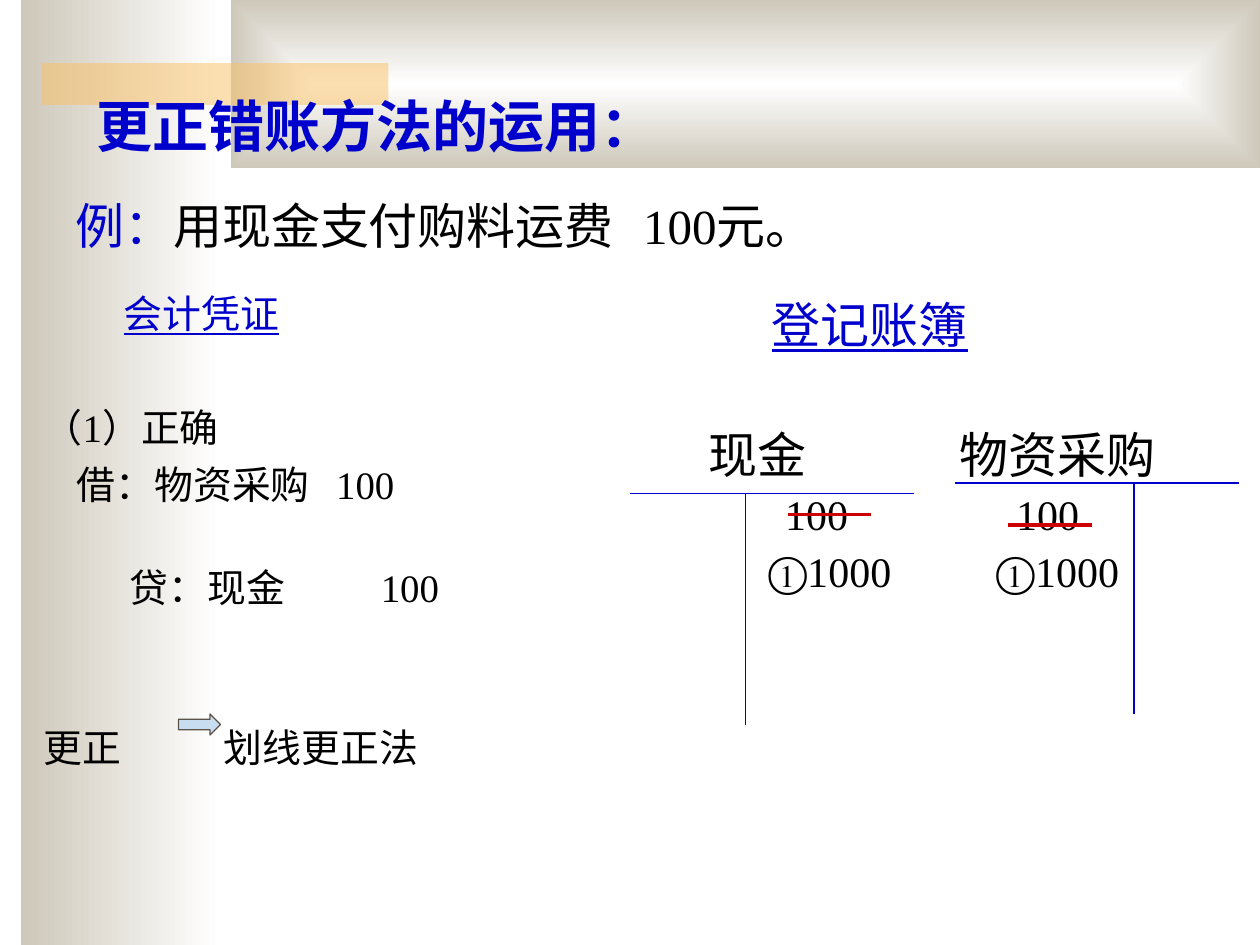
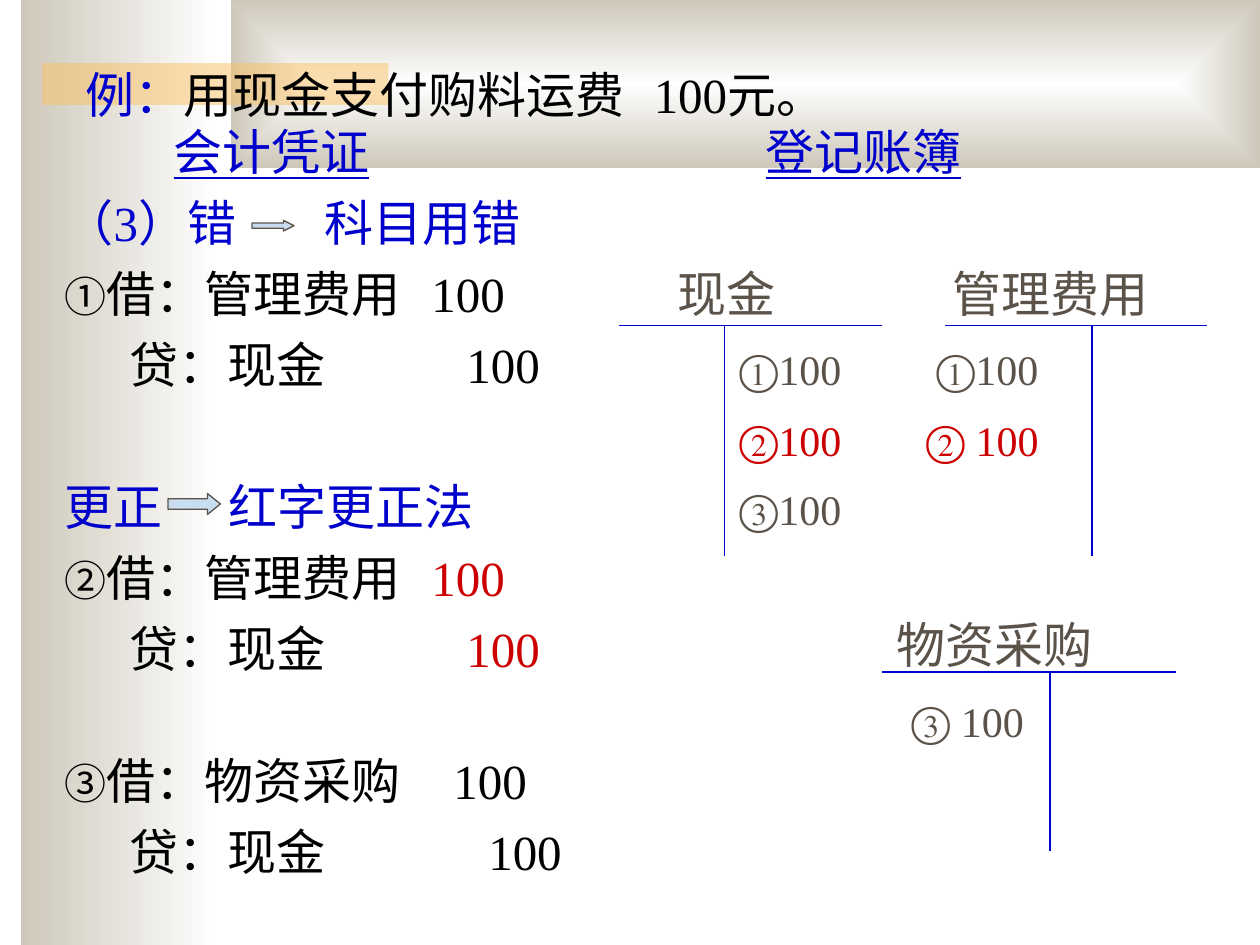
import dataclasses

import pptx
import pptx.dml.color
import pptx.enum.dml
import pptx.enum.shapes
import pptx.enum.text
import pptx.oxml
import pptx.oxml.ns
import pptx.util

Pt = pptx.util.Pt
RGB = pptx.dml.color.RGBColor.from_string
qn = pptx.oxml.ns.qn
NAMESPACE = pptx.oxml.ns.nsdecls("a")
SHAPE = pptx.enum.shapes.MSO_SHAPE


@dataclasses.dataclass(frozen=True)
class Theme:
    font: str = "Times New Roman"
    black: str = "000000"
    white: str = "FFFFFF"
    blue: str = "0000CC"
    red: str = "CC0000"
    grey: str = "5B5249"
    sand: str = "CEC8BA"
    amber: str = "FAC164"
    sky: str = "C9DDF1"
    title: float = 32
    large: float = 28
    medium: float = 24
    small: float = 22.2
    thin: float = 0.75
    thick: float = 2.25


theme = Theme()


def add_frame(page, left, top, width, height):
    frame = page.shapes.add_textbox(Pt(left), Pt(top), Pt(width), Pt(height)).text_frame
    frame.word_wrap = True
    frame.vertical_anchor = pptx.enum.text.MSO_ANCHOR.TOP
    return frame


def write(frame, *spans, size=theme.large, color=theme.black, bold=False,
          underline=False, before=0, tabs=(), line=None):
    """Add one paragraph; a span is a text or a (text, font changes) pair."""
    para = frame.paragraphs[0]
    if para.runs:
        para = frame.add_paragraph()
    para.space_before = Pt(before)
    para.line_spacing = Pt(line or round(size * 1.2, 1))
    if tabs:
        stops = "".join(f'<a:tab pos="{Pt(stop)}" algn="l"/>' for stop in tabs)
        para._p.get_or_add_pPr().append(
            pptx.oxml.parse_xml(f"<a:tabLst {NAMESPACE}>{stops}</a:tabLst>"))
    for span in spans:
        text, changes = (span, {}) if isinstance(span, str) else span
        look = {"size": size, "color": color, "underline": underline, **changes}
        run = para.add_run()
        run.text = text
        run.font.name = theme.font
        run.font.size = Pt(look["size"])
        run.font.bold = bold
        run.font.underline = look["underline"]
        run.font.color.rgb = RGB(look["color"])


deck = pptx.Presentation()
deck.slide_width, deck.slide_height = Pt(720), Pt(540)
strike_page, red_page = [deck.slides.add_slide(deck.slide_layouts[6]) for _ in range(2)]

# Background bands
for page in (strike_page, red_page):
    side, top, accent = bands = [
        page.shapes.add_shape(SHAPE.RECTANGLE, *map(Pt, area))
        for area in ((12, 0, 114, 540), (132, 0, 588, 96), (24, 36, 198, 24))]
    for band in bands:
        band.shadow.inherit = False
        band.line.fill.background()
    for band in (side, top):
        band.fill.gradient()
        band.fill.gradient_angle = 180
        for stop, color in zip(band.fill.gradient_stops, (theme.white, theme.sand)):
            stop.color.rgb = RGB(color)
    linear = top._element.spPr.find(qn("a:gradFill")).find(qn("a:lin"))
    linear.getparent().replace(linear, pptx.oxml.parse_xml(
        f'<a:path {NAMESPACE} path="rect">'
        '<a:fillToRect l="50000" t="50000" r="50000" b="50000"/></a:path>'))
    accent.fill.solid()
    accent.fill.fore_color.rgb = RGB(theme.amber)
    accent._element.spPr.find(qn("a:solidFill"))[0].append(
        pptx.oxml.parse_xml(f'<a:alpha {NAMESPACE} val="50000"/>'))

# Titles and the shared example
write(add_frame(strike_page, 48, 49, 612, 46), "更正错账方法的运用：",
      size=theme.title, color=theme.blue, bold=True)
for page, left, top in ((strike_page, 36, 108), (red_page, 42, 33.5)):
    write(add_frame(page, left, top, 546, 41), ("例：", {"color": theme.blue}),
          "用现金支付购料运费\t100元。", tabs=[324.5])

heading = {"color": theme.blue, "underline": True}
red = {"color": theme.red}
circled = {"size": theme.medium}

# Strike-through correction: voucher
voucher = add_frame(strike_page, 18, 162, 312, 342)
write(voucher, "\t", ("会计凭证", heading), size=theme.small, tabs=[45.6])
for text, before, tabs in (
        ("（1）正确", 38.6, []),
        ("\t借：物资采购\t100", 6, [18.8, 167]),
        ("\t贷：现金\t100", 32.4, [49, 192.5]),
        ("更正\t划线更正法", 64.8, [102.8])):
    write(voucher, text, size=theme.small, before=before, tabs=tabs)

# Strike-through correction: ledger
ledger = add_frame(strike_page, 348, 168, 360, 336)
write(ledger, "\t", ("登记账簿", heading), tabs=[86], line=30.2)
write(ledger, "\t现金\t物资采购", before=44.2, tabs=[50, 193.3], line=30.2)
for text, before, tabs in (
        ("\t100\t100", 6, [93.6, 225.6]),
        ("\t①1000\t①1000", 6.7, [83.8, 214])):
    write(ledger, text, size=theme.medium, before=before, tabs=tabs, line=25.9)

# Red-ink correction: voucher
voucher = add_frame(red_page, 30, 66, 324, 456)
write(voucher, "\t", ("会计凭证", heading), tabs=[62.2])
write(voucher, "（3）错\t科目用错", color=theme.blue, before=7, tabs=[148.4])
for number, account, debit_tab, credit_tab, before, amount in (
        ("①", "管理费用", 209.5, 229.5, 7, {}),
        ("②", "管理费用", 209.5, 229.5, 7, red),
        ("③", "物资采购", 222, 242, 41.8, {})):
    if number == "②":
        write(voucher, "更正\t红字更正法", color=theme.blue, before=47.6, tabs=[93.5])
    write(voucher, (number, circled), f"借：{account}\t", ("100", amount),
          before=before, tabs=[debit_tab])
    write(voucher, "\t贷：现金\t", ("100", amount), before=7, tabs=[37.2, credit_tab])

# Red-ink correction: ledger
ledger = add_frame(red_page, 318, 66, 378, 450)
write(ledger, "\t", ("登记账簿", heading), tabs=[112.5])
for text, size, color, before, tabs in (
        ("\t现金\t管理费用", theme.large, theme.grey, 47.6, [62, 219.5]),
        ("\t①100\t①100", theme.medium, theme.grey, 7, [97.3, 209.8]),
        ("\t②100\t② 100", theme.medium, theme.red, 7, [97.3, 204]),
        ("\t③100", theme.medium, theme.grey, 5.8, [97.3]),
        ("\t物资采购", theme.large, theme.grey, 46.4, [187.4]),
        ("\t③ 100", theme.medium, theme.grey, 8, [195.5])):
    write(ledger, text, size=size, color=color, before=before, tabs=tabs, line=33.6)

# T-accounts and strike lines
rules = []
for page, left, right, bar, stem, bottom in (
        (strike_page, 360, 522, 282, 426, 414),
        (strike_page, 546, 708, 276, 648, 408),
        (red_page, 354, 504, 186, 414, 318),
        (red_page, 540, 690, 186, 624, 318),
        (red_page, 504, 672, 384, 600, 486)):
    rules.append((page, (left, bar, right, bar), theme.blue, theme.thin))
    rules.append((page, (stem, bar, stem, bottom), theme.blue, theme.thin))
for left, level in ((450, 294), (576, 300)):
    rules.append((strike_page, (left, level, left + 48, level), theme.red, theme.thick))
for page, ends, color, width in rules:
    rule = page.shapes.add_connector(
        pptx.enum.shapes.MSO_CONNECTOR.STRAIGHT, *map(Pt, ends))
    rule.line.color.rgb = RGB(color)
    rule.line.width = Pt(width)
    rule._element.spPr.append(pptx.oxml.parse_xml(f"<a:effectLst {NAMESPACE}/>"))

# Arrows
for page, area, head in (
        (strike_page, (102, 408, 24, 12), 0.5),
        (red_page, (144, 126, 24, 6), 1),
        (red_page, (96, 282, 30, 12), 0.62)):
    arrow = page.shapes.add_shape(SHAPE.RIGHT_ARROW, *map(Pt, area))
    arrow.shadow.inherit = False
    arrow.adjustments[1] = head
    arrow.fill.solid()
    arrow.fill.fore_color.rgb = RGB(theme.sky)
    arrow.line.color.rgb = RGB(theme.grey)
    arrow.line.width = Pt(theme.thin)

deck.save("out.pptx")
